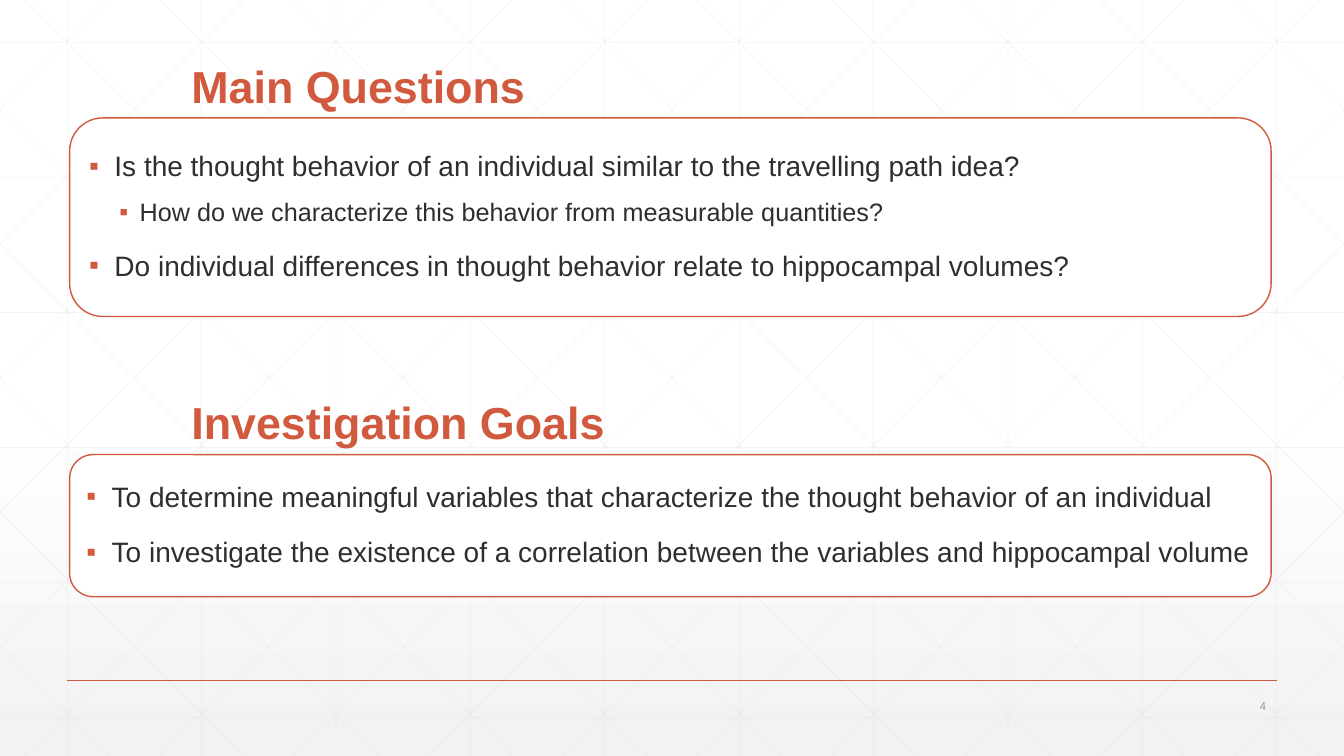
"""Build the slide of main questions and investigation goals."""
from copy import deepcopy
from dataclasses import dataclass

from lxml import etree
from pptx import Presentation
from pptx import util as u
from pptx.dml.color import RGBColor
from pptx.enum import shapes, text
from pptx.oxml.ns import qn


@dataclass(frozen=True)
class Theme:
    """Colours, font and type sizes."""
    accent: str = "D15A3E"
    ink: str = "2D2E2D"
    muted: str = "959795"
    paper: str = "FFFFFF"
    shade: str = "F2F2F2"
    grid: str = "D9D9D9"
    font: str = "Arial"
    heading: int = 32
    number: int = 8
    bullets: tuple = (20, 18)


@dataclass(frozen=True)
class Area:
    """Place on the slide in percent of its width and height."""
    left: float
    top: float
    width: float
    height: float

    def emu(self) -> tuple:
        """Return left, top, width and height as lengths."""
        return (across(self.left), down(self.top),
                across(self.width), down(self.height))


@dataclass(frozen=True)
class Bullet:
    """One bulleted line and its level."""
    wording: str
    level: int = 0


@dataclass(frozen=True)
class Section:
    """Heading above a rounded panel of bullets."""
    heading: str
    top: float
    height: float
    bullets: tuple


THEME = Theme()
WIDTH, HEIGHT = 13.33, 7.5
COLUMNS, ROWS = 10, 6
COLUMN, ROW = WIDTH / COLUMNS, 1.34
FIRST_ROW, FIRST_DIAGONAL = 0.42, 0.25
HEADING_HEIGHT = 16.67
INDENTS = ((0.25, 0.25, 18), (0.5, 0.2, 12))
SECTIONS = (
    Section("Investigation Goals", 60.13, 18.8, (
        Bullet("To determine meaningful variables that characterize "
               "the thought behavior of an individual"),
        Bullet("To investigate the existence of a correlation between "
               "the variables and hippocampal volume"))),
    Section("Main Questions", 15.6, 26.27, (
        Bullet("Is the thought behavior of an individual similar to "
               "the travelling path idea?"),
        Bullet("How do we characterize this behavior from measurable "
               "quantities?", 1),
        Bullet("Do individual differences in thought behavior relate to "
               "hippocampal volumes?"))),
)


def across(percent: float) -> int:
    """Return a share of the slide's width."""
    return u.Inches(WIDTH * percent / 100)


def down(percent: float) -> int:
    """Return a share of the slide's height."""
    return u.Inches(HEIGHT * percent / 100)


def rgb(code: str) -> RGBColor:
    """Return the colour for a hex code."""
    return RGBColor.from_string(code)


def paint_background(slide) -> None:
    """Fill the slide with a vertical gradient of three stops."""
    fill = slide.background.fill
    fill.gradient()
    fill.gradient_angle = 270
    for stop, code in zip(fill.gradient_stops, (THEME.paper, THEME.shade)):
        stop.color.rgb = rgb(code)
    stops = next(slide.element.iter(qn("a:gsLst")))
    middle = deepcopy(stops[0])
    middle.set("pos", "53000")
    stops.insert(1, middle)


def draw_line(slide, start: tuple, end: tuple, colour: str,
              weight: float, opacity: int = 100) -> None:
    """Draw a straight line between two points in inches."""
    points = [u.Inches(value) for value in (*start, *end)]
    line = slide.shapes.add_connector(shapes.MSO_CONNECTOR.STRAIGHT, *points)
    line.line.color.rgb = rgb(colour)
    line.line.width = u.Pt(weight)
    properties = line.element.spPr
    if opacity < 100:
        colour_node = next(properties.iter(qn("a:srgbClr")))
        etree.SubElement(colour_node, qn("a:alpha")).set(
            "val", str(opacity * 1000))
    etree.SubElement(properties, qn("a:effectLst"))


def draw_grid(slide) -> None:
    """Draw the faint lattice of columns, rows and diagonals."""
    lines = []
    for column in range(COLUMNS):
        x = (column + 0.5) * COLUMN
        lines.append(((x, 0), (x, HEIGHT)))
    for row in range(ROWS):
        y = FIRST_ROW + row * ROW
        lines.append(((0, y), (WIDTH, y)))
    for step in range(-5, COLUMNS):
        origin = FIRST_DIAGONAL + step * COLUMN
        left, right = max(origin, 0), min(origin + HEIGHT, WIDTH)
        start, end = (left, left - origin), (right, right - origin)
        lines.append((start, end))
        lines.append(((WIDTH - left, start[1]), (WIDTH - right, end[1])))
    for start, end in lines:
        draw_line(slide, start, end, THEME.grid, 0.5, 25)


def add_run(paragraph, wording: str, size: int, colour: str,
            bold: bool = False) -> None:
    """Add one styled run to a paragraph."""
    run = paragraph.add_run()
    run.text = wording
    run.font.name = THEME.font
    run.font.size = u.Pt(size)
    run.font.bold = bold
    run.font.color.rgb = rgb(colour)


def add_label(slide, area: Area, anchor: text.MSO_ANCHOR):
    """Add a wrapped text box and return its first paragraph."""
    frame = slide.shapes.add_textbox(*area.emu()).text_frame
    frame.word_wrap = True
    frame.vertical_anchor = anchor
    return frame.paragraphs[0]


def format_bullet(paragraph, level: int) -> None:
    """Set the indent, spacing and square mark of a bullet."""
    margin, hanging, space = INDENTS[level]
    paragraph.level = level
    paragraph.alignment = text.PP_ALIGN.LEFT
    paragraph.line_spacing = 0.9
    paragraph.space_before = u.Pt(space)
    properties = paragraph._p.get_or_add_pPr()
    properties.set("marL", str(u.Inches(margin)))
    properties.set("indent", str(-u.Inches(hanging)))
    colour = etree.SubElement(properties, qn("a:buClr"))
    etree.SubElement(colour, qn("a:srgbClr")).set("val", THEME.accent)
    etree.SubElement(properties, qn("a:buFont")).set("typeface", THEME.font)
    etree.SubElement(properties, qn("a:buChar")).set("char", "▪")


def draw_section(slide, section: Section) -> None:
    """Draw a heading and its panel of bullets."""
    heading_area = Area(13.5, section.top - HEADING_HEIGHT,
                        34.5, HEADING_HEIGHT)
    heading = add_label(slide, heading_area, text.MSO_ANCHOR.BOTTOM)
    heading.line_spacing = 0.9
    add_run(heading, section.heading, THEME.heading, THEME.accent, True)
    panel = slide.shapes.add_shape(
        shapes.MSO_SHAPE.ROUNDED_RECTANGLE,
        *Area(5.18, section.top, 89.4, section.height).emu())
    panel.shadow.inherit = False
    panel.fill.solid()
    panel.fill.fore_color.rgb = rgb(THEME.paper)
    panel.line.color.rgb = rgb(THEME.accent)
    panel.line.width = u.Pt(1)
    frame = panel.text_frame
    frame.word_wrap = True
    frame.vertical_anchor = text.MSO_ANCHOR.MIDDLE
    for index, bullet in enumerate(section.bullets):
        paragraph = frame.add_paragraph() if index else frame.paragraphs[0]
        format_bullet(paragraph, bullet.level)
        add_run(paragraph, bullet.wording, THEME.bullets[bullet.level],
                THEME.ink)


def main() -> None:
    """Build and save the presentation."""
    presentation = Presentation()
    presentation.slide_width = u.Inches(WIDTH)
    presentation.slide_height = u.Inches(HEIGHT)
    slide = presentation.slides.add_slide(presentation.slide_layouts[6])
    paint_background(slide)
    draw_grid(slide)
    footer = HEIGHT * 0.9
    draw_line(slide, (COLUMN / 2, footer), (WIDTH - COLUMN / 2, footer),
              THEME.accent, 1)
    for section in SECTIONS:
        draw_section(slide, section)
    number = add_label(slide, Area(87.45, 91.73, 7.5, 3.2),
                       text.MSO_ANCHOR.MIDDLE)
    number.alignment = text.PP_ALIGN.RIGHT
    add_run(number, "4", THEME.number, THEME.muted)
    presentation.save("out.pptx")


main()
